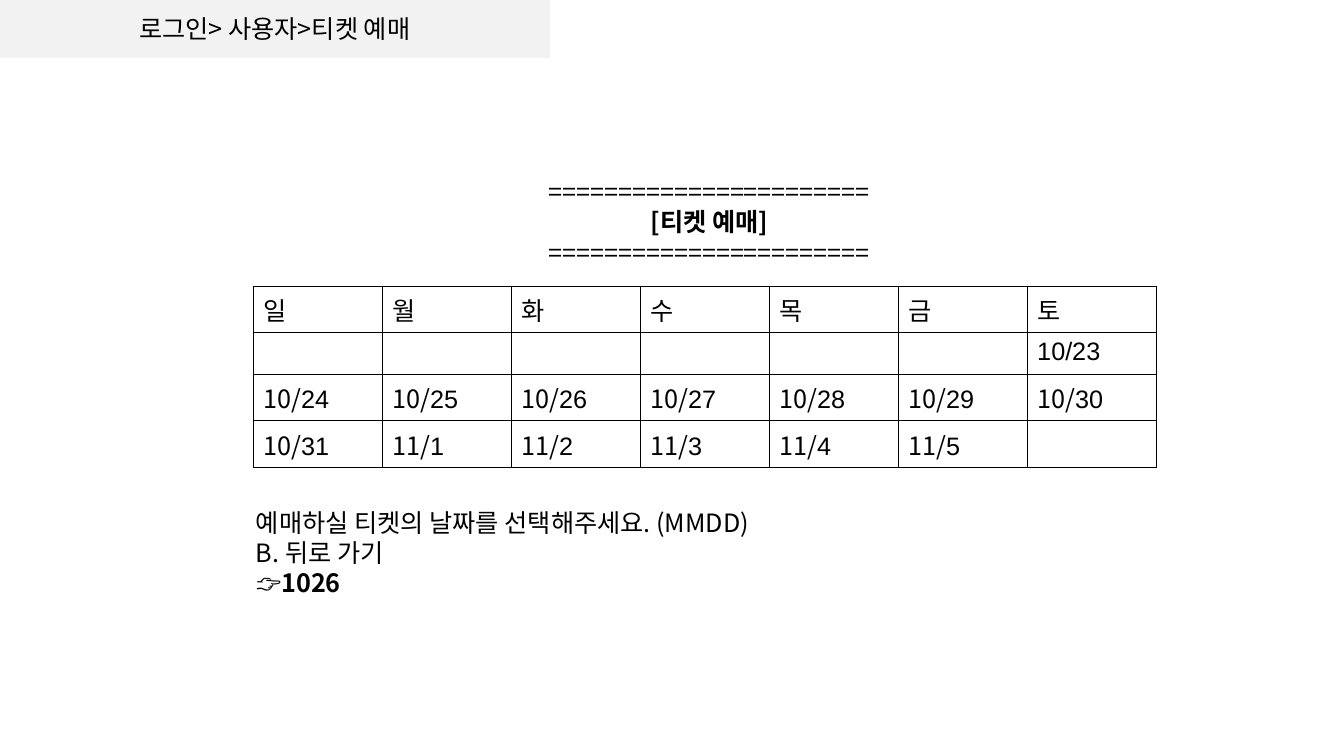
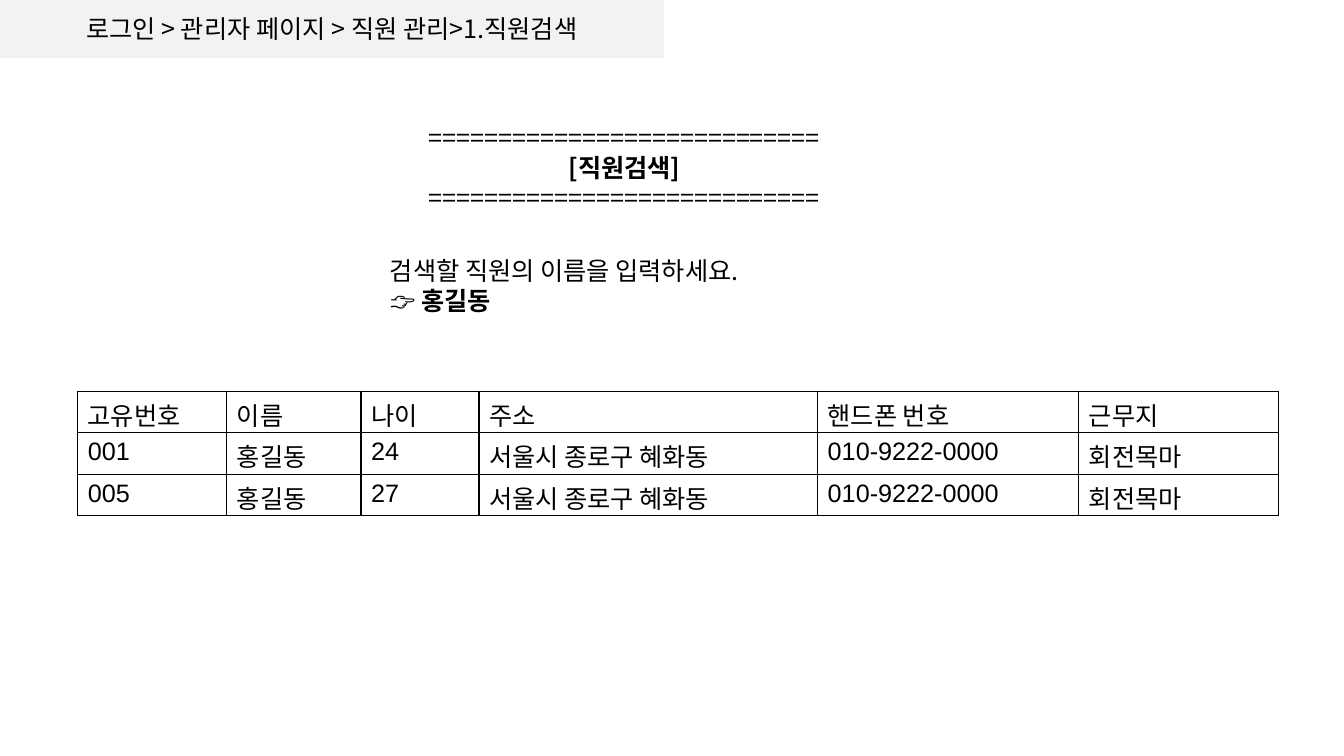
from lxml import etree
from pptx import Presentation
from pptx import util as u
from pptx.dml.color import RGBColor
from pptx.enum import shapes, text
from pptx.oxml import ns

# Shared look
COLORS = {"ink": "000000", "band": "F2F2F2"}
SANS, LATIN = "Noto Sans CJK KR", "Arial"
SIZE = u.Pt(18)
WIDTH, HEIGHT = u.Inches(13.33), u.Inches(7.5)
BAND_HEIGHT, HEADING_HEIGHT = 7.6, 17.47


def color(name):
    return RGBColor.from_string(COLORS[name])


def across(share):
    """Percentage of the slide's width."""
    return u.Emu(round(WIDTH * share / 100))


def down(share):
    """Percentage of the slide's height."""
    return u.Emu(round(HEIGHT * share / 100))


def area(left, top, width, height):
    return across(left), down(top), across(width), down(height)


# Text
def add_span(para, words, bold=False, face=SANS):
    span = para.add_run()
    span.text = words
    font = span.font
    font.size, font.bold, font.name = SIZE, bold, face
    font.color.rgb = color("ink")
    east = etree.SubElement(font._element, ns.qn("a:ea"))
    east.set("typeface", SANS)


def write_lines(frame, lines, align):
    """Each line is a list of (words, bold) spans."""
    frame.word_wrap = True
    frame.auto_size = text.MSO_AUTO_SIZE.NONE
    for index, spans in enumerate(lines):
        para = frame.add_paragraph() if index else frame.paragraphs[0]
        para.alignment = align
        for words, bold in spans:
            add_span(para, words, bold)


# Slide parts
def add_page(deck):
    return deck.slides.add_slide(deck.slide_layouts[5])


def add_breadcrumb(page, words, width):
    band = page.shapes.add_shape(
        shapes.MSO_SHAPE.FLOWCHART_PROCESS, *area(0, 0, width, BAND_HEIGHT))
    band.shadow.inherit = False
    band.fill.solid()
    band.fill.fore_color.rgb = color("band")
    band.line.color.rgb = color("band")
    band.line.width = u.Pt(1)
    band.text_frame.vertical_anchor = text.MSO_ANCHOR.MIDDLE
    write_lines(band.text_frame, [[(words, False)]], text.PP_ALIGN.CENTER)


def add_heading(page, words, rule_length, left, top, width):
    title = page.shapes.title
    title.left, title.top, title.width, title.height = area(
        left, top, width, HEADING_HEIGHT)
    title.text_frame.vertical_anchor = text.MSO_ANCHOR.TOP
    rule = [("=" * rule_length, False)]
    write_lines(title.text_frame, [rule, [(words, True)], rule],
                text.PP_ALIGN.CENTER)


def add_prompt(page, lines, *place):
    box = page.shapes.add_textbox(*area(*place))
    write_lines(box.text_frame, lines, text.PP_ALIGN.LEFT)


def outline_cell(cell):
    properties = cell._tc.get_or_add_tcPr()
    for side in ("L", "R", "T", "B"):
        border = etree.SubElement(properties, ns.qn(f"a:ln{side}"))
        border.set("w", str(u.Pt(1)))
        fill = etree.SubElement(border, ns.qn("a:solidFill"))
        etree.SubElement(fill, ns.qn("a:srgbClr")).set("val", COLORS["ink"])


def add_grid(page, rows, columns, left, top, row_height, bottom_margin=0.05):
    """Each cell is a list of (words, face) spans."""
    frame = page.shapes.add_table(
        len(rows), len(columns),
        *area(left, top, sum(columns), row_height * len(rows)))
    table = frame.table
    table.first_row = table.horz_banding = False
    for column, width in zip(table.columns, columns):
        column.width = across(width)
    for row, entries in zip(table.rows, rows):
        row.height = down(row_height)
        for cell, spans in zip(row.cells, entries):
            outline_cell(cell)
            cell.fill.background()
            cell.margin_bottom = u.Inches(bottom_margin)
            for words, face in spans:
                add_span(cell.text_frame.paragraphs[0], words, face=face)


def plain(words):
    return [(words, LATIN)] if words else []


def date(month, day):
    return [(f"{month}/", SANS), (str(day), LATIN)]


# Slides
def build_booking(deck):
    page = add_page(deck)
    add_breadcrumb(page, "로그인> 사용자>티켓 예매", 40.88)
    calendar = [
        [plain(day) for day in "일월화수목금토"],
        [plain("")] * 6 + [plain("10/23")],
        [date(10, day) for day in range(24, 31)],
        [date(10, 31)] + [date(11, day) for day in range(1, 6)] + [plain("")],
    ]
    add_grid(page, calendar, [9.6] * 7, 18.83, 37.87, 5.47)
    add_prompt(page, [
        [("예매하실 티켓의 날짜를 선택해주세요. (MMDD)", False)],
        [("B. 뒤로 가기", False)],
        [("👉", False), ("1026", True)],
    ], 18.3, 66.4, 42.08, 13.47)
    add_heading(page, "[티켓 예매]", 23, 18.83, 22.67, 67.88)


def build_staff_search(deck):
    page = add_page(deck)
    add_breadcrumb(page, "로그인 > 관리자 페이지 > 직원 관리>1.직원검색", 49.35)
    add_prompt(page, [
        [("검색할 직원의 이름을 입력하세요.", False)],
        [("👉 홍길동", True)],
    ], 28.28, 33.07, 33.15, 9.47)
    add_heading(page, "[직원검색]", 28, 20.1, 15.47, 52.73)
    staff = [("고유번호", "이름", "나이", "주소", "핸드폰 번호", "근무지")]
    for number, age in (("001", "24"), ("005", "27")):
        staff.append((number, "홍길동", age, "서울시 종로구 혜화동",
                      "010-9222-0000", "회전목마"))
    rows = [[plain(words) for words in person] for person in staff]
    add_grid(page, rows, [11.1, 9.98, 8.78, 25.2, 19.43, 14.85],
             5.78, 51.73, 5.33, bottom_margin=0)


def main():
    deck = Presentation()
    deck.slide_width, deck.slide_height = WIDTH, HEIGHT
    build_booking(deck)
    build_staff_search(deck)
    deck.save("out.pptx")


main()
